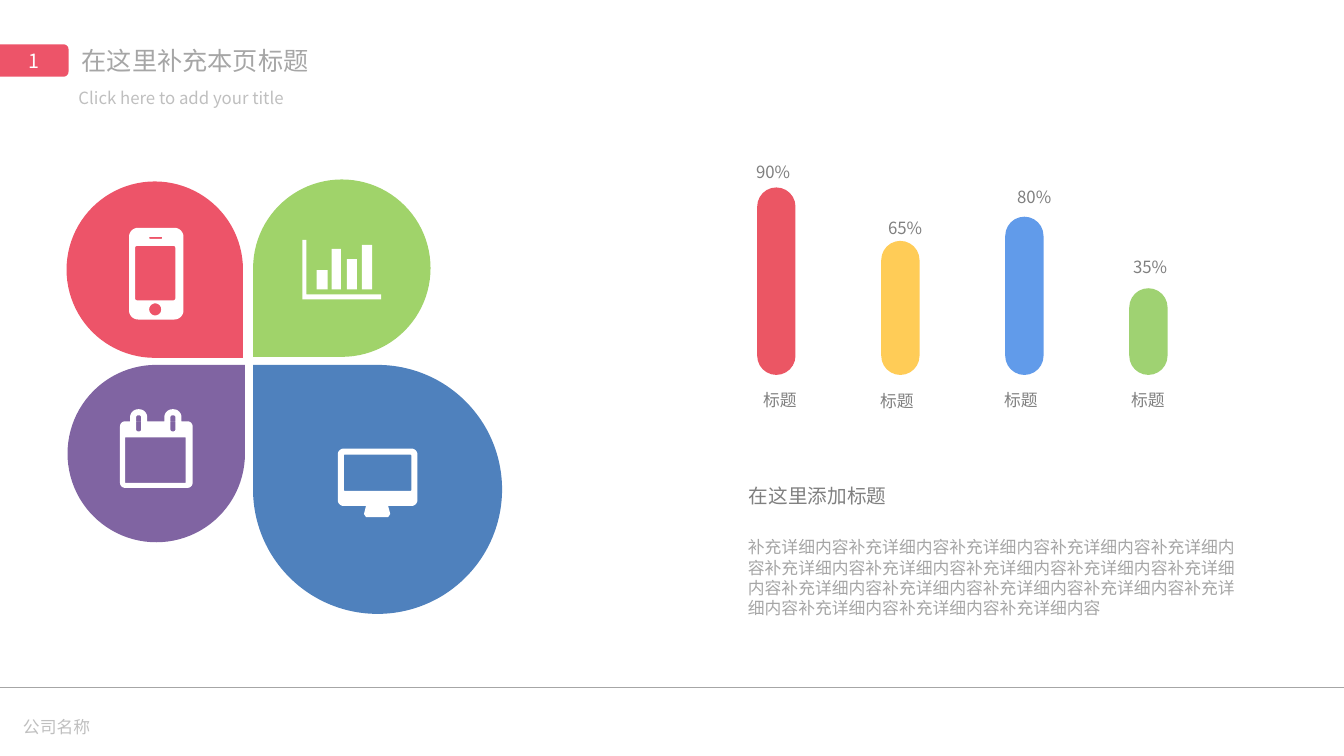
from dataclasses import dataclass
from math import cos, pi, sin

from pptx import Presentation
from pptx.dml.color import RGBColor
from pptx.enum.shapes import MSO_CONNECTOR, MSO_SHAPE
from pptx.enum.text import MSO_ANCHOR, MSO_AUTO_SIZE, PP_ALIGN
from pptx.oxml.ns import qn
from pptx.util import Pt
from lxml.etree import SubElement

PX = 9144
FONT = "Noto Sans CJK SC"
COLOURS = {
    "white": "FFFFFF", "silver": "BFBFBF", "light_grey": "A6A6A6", "grey": "808080",
    "badge": "ED5469", "red": "ED5469", "green": "A0D36A", "purple": "8064A2",
    "blue": "4F81BD", "bar_red": "EB5664", "bar_yellow": "FFCC57",
    "bar_blue": "619BEA", "bar_green": "9FD272",
}
Contour = list[tuple[float, float]]


@dataclass
class Label:
    text: str
    left: int
    top: int
    width: int
    height: int
    size: int = 12
    colour: str = "grey"


@dataclass
class Petal:
    left: int
    top: int
    size: int
    rotation: int
    colour: str
    icon: list[Contour]


@dataclass
class Bar:
    value: str
    height: int
    colour: str
    value_left: int
    value_top: int
    name_left: int
    name_top: int = 382


def rounded(left: float, top: float, width: float, height: float,
            top_left: float = 0, top_right: float = 0,
            bottom_right: float = 0, bottom_left: float = 0) -> Contour:
    right, bottom = left + width, top + height
    corners = [
        (left + top_left, top + top_left, top_left, 2),
        (right - top_right, top + top_right, top_right, 3),
        (right - bottom_right, bottom - bottom_right, bottom_right, 0),
        (left + bottom_left, bottom - bottom_left, bottom_left, 1),
    ]
    points = []
    for x, y, radius, quarter in corners:
        steps = 8 if radius else 0
        for step in range(steps + 1):
            angle = pi / 2 * (quarter + (step / steps if steps else 0))
            points.append((x + radius * cos(angle), y + radius * sin(angle)))
    return points


def even(left: int, top: int, width: int, height: int, radius: int = 0) -> Contour:
    return rounded(left, top, width, height, radius, radius, radius, radius)


PHONE = [even(128, 226, 54, 91, 9), even(134, 244, 40, 54, 2),
         even(148, 235, 13, 2, 1), even(148, 301, 12, 12, 6)]
CHART = [[(300, 238), (304, 238), (304, 292), (378, 292), (378, 297), (300, 297)]]
CHART += [even(left, top, width, 287 - top) for left, top, width in
          [(314, 268, 11), (329, 247, 9), (344, 257, 10), (359, 243, 10)]]
CALENDAR = [even(119, 418, 72, 66, 5), even(124, 434, 60, 45)]
for ring in (129, 163):
    CALENDAR += [rounded(ring, 406, 17, 12, 8, 8), even(ring + 6, 412, 5, 16, 2)]
MONITOR = [even(335, 445, 79, 57, 6), even(341, 451, 67, 36, 1),
           [(363, 502), (385, 502), (387, 510), (385, 513), (363, 513), (361, 510)]]

PETALS = [
    Petal(251, 362, 247, 270, "blue", MONITOR),
    Petal(251, 178, 176, 180, "green", CHART),
    Petal(67, 362, 176, 0, "purple", CALENDAR),
    Petal(66, 180, 175, 90, "red", PHONE),
]
BAR_LEFT, BAR_STEP, BAR_WIDTH, BAR_BOTTOM = 751, 123, 38, 372
BARS = [
    Bar("90%", 186, "bar_red", 740, 156, 747),
    Bar("65%", 133, "bar_yellow", 871, 211, 863, 383),
    Bar("80%", 157, "bar_blue", 999, 180, 986),
    Bar("35%", 86, "bar_green", 1114, 250, 1112),
]
TITLE = Label("在这里补充本页标题", 71, 40, 394, 40, 18, "light_grey")
BADGE = Label("1", 0, 44, 68, 32, 14, "white")
LABELS = [
    Label("Click here to add your title", 68, 82, 291, 30, 12, "silver"),
    Label("公司名称", 13, 706, 150, 30, 12, "silver"),
    Label("在这里添加标题", 733, 475, 394, 34, 14),
    Label("补充详细内容" * 18, 732, 528, 510, 91, 12, "light_grey"),
]


def colour_of(name: str) -> RGBColor:
    return RGBColor.from_string(COLOURS[name])


def write(shape, label: Label, align=PP_ALIGN.LEFT) -> None:
    shape.text_frame.word_wrap = True
    para = shape.text_frame.paragraphs[0]
    para.alignment = align
    span = para.add_run()
    span.text = label.text
    span.font.size = Pt(label.size)
    span.font.color.rgb = colour_of(label.colour)
    span.font.name = FONT
    SubElement(span.font._element, qn("a:ea"), typeface=FONT)


def fit(shape) -> None:
    shape.text_frame.vertical_anchor = MSO_ANCHOR.TOP
    shape.text_frame.auto_size = MSO_AUTO_SIZE.SHAPE_TO_FIT_TEXT


def add_label(page, label: Label) -> None:
    box = page.shapes.add_textbox(label.left * PX, label.top * PX,
                                  label.width * PX, label.height * PX)
    write(box, label)
    fit(box)


def paint(shape, colour: str) -> None:
    shape.shadow.inherit = False
    shape.fill.solid()
    shape.fill.fore_color.rgb = colour_of(colour)
    shape.line.fill.background()


def add_outline(page, contours: list[Contour], colour: str):
    scaled = [[(x * PX, y * PX) for x, y in contour] for contour in contours]
    builder = page.shapes.build_freeform(*scaled[0][0])
    for contour in scaled:
        if contour is not scaled[0]:
            builder.move_to(*contour[0])
        builder.add_line_segments(contour[1:], close=True)
    shape = builder.convert_to_shape()
    paint(shape, colour)
    return shape


def add_petal(page, petal: Petal) -> None:
    drop = page.shapes.add_shape(MSO_SHAPE.TEAR, petal.left * PX, petal.top * PX,
                                 petal.size * PX, petal.size * PX)
    drop.rotation = petal.rotation
    paint(drop, petal.colour)
    add_outline(page, petal.icon, "white")


def add_bar(page, bar: Bar, left: int) -> None:
    column = page.shapes.add_shape(
        MSO_SHAPE.ROUNDED_RECTANGLE, left * PX, (BAR_BOTTOM - bar.height) * PX,
        BAR_WIDTH * PX, bar.height * PX)
    column.adjustments[0] = 0.5
    paint(column, bar.colour)
    add_label(page, Label(bar.value, bar.value_left, bar.value_top, 61, 30))
    add_label(page, Label("标题", bar.name_left, bar.name_top, 77, 30))


def main() -> None:
    deck = Presentation()
    deck.slide_width, deck.slide_height = 1333 * PX, 750 * PX
    page = deck.slides.add_slide(deck.slide_layouts[5])
    title = page.shapes.title
    title.left, title.top = TITLE.left * PX, TITLE.top * PX
    title.width, title.height = TITLE.width * PX, TITLE.height * PX
    write(title, TITLE)
    fit(title)
    rule = page.shapes.add_connector(MSO_CONNECTOR.STRAIGHT, 0, 682 * PX, 1333 * PX, 682 * PX)
    rule.line.color.rgb = colour_of("light_grey")
    rule.line.width = Pt(0.25)
    SubElement(rule._element.spPr, qn("a:effectLst"))
    tab = rounded(BADGE.left, BADGE.top, BADGE.width, BADGE.height, 0, 5, 5, 0)
    badge = add_outline(page, [tab], "badge")
    write(badge, BADGE, PP_ALIGN.CENTER)
    badge.text_frame.vertical_anchor = MSO_ANCHOR.MIDDLE
    for petal in PETALS:
        add_petal(page, petal)
    for index, bar in enumerate(BARS):
        add_bar(page, bar, BAR_LEFT + index * BAR_STEP)
    for label in LABELS:
        add_label(page, label)
    deck.save("out.pptx")


if __name__ == "__main__":
    main()
